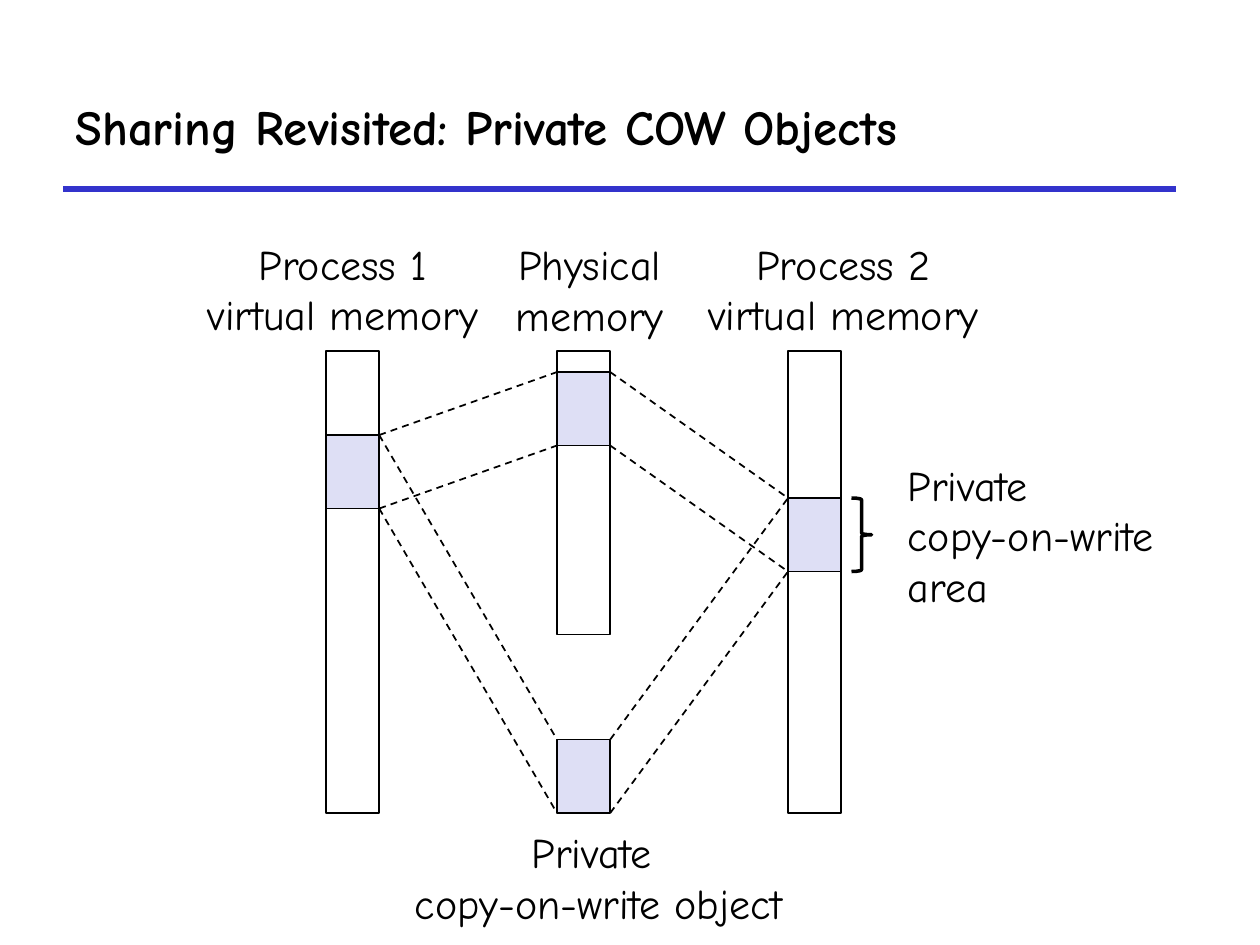
from lxml import etree
from pptx import Presentation
from pptx import util as u
from pptx.dml.color import RGBColor
from pptx.enum import dml, shapes, text
from pptx.oxml.ns import qn

INK, TINT, BLUE = "000000", "DEDFF5", "3333CC"
FONT = "Comic Neue"
LEFT, MID, RIGHT = 186.3, 318.3, 450.3  # left edges of the three columns
WIDE, AREA = 30.4, 42  # column width, height of a shared area
TOP, END = 200.6, 464.6


def color(code):
    return RGBColor.from_string(code)


def write(frame, lines, size=24, bold=False, align=text.PP_ALIGN.LEFT):
    frame.vertical_anchor = text.MSO_ANCHOR.MIDDLE
    frame.text = "\n".join(lines)
    for para in frame.paragraphs:
        para.alignment = align
        font = para.font
        font.name, font.size, font.bold = FONT, u.Pt(size), bold
        font.color.rgb = color(INK)


class Page:
    def __init__(self, slide):
        self.slide = slide
        self.items = slide.shapes

    def title(self, words, *box):
        head = self.items.title
        head.left, head.top, head.width, head.height = map(u.Pt, box)
        write(head.text_frame, [words], size=28, bold=True)

    def label(self, lines, *box, align=text.PP_ALIGN.CENTER):
        frame = self.items.add_textbox(*map(u.Pt, box)).text_frame
        frame.word_wrap = False
        frame.auto_size = text.MSO_AUTO_SIZE.SHAPE_TO_FIT_TEXT
        write(frame, lines, align=align)

    def shape(self, kind, *box, fill=None, width=1):
        item = self.items.add_shape(kind, *map(u.Pt, box))
        item.shadow.inherit = False
        if fill:
            item.fill.solid()
            item.fill.fore_color.rgb = color(fill)
        else:
            item.fill.background()
        item.line.color.rgb = color(INK)
        item.line.width = u.Pt(width)

    def bar(self, left, top, high, fill=None):
        self.shape(shapes.MSO_SHAPE.RECTANGLE, left, top, WIDE, high, fill=fill)

    def line(self, *ends, tint=INK, width=1, dash=None):
        item = self.items.add_connector(
            shapes.MSO_CONNECTOR.STRAIGHT, *map(u.Pt, ends))
        item.line.color.rgb = color(tint)
        item.line.width = u.Pt(width)
        if dash:
            item.line.dash_style = dash
        etree.SubElement(item._element.spPr, qn("a:effectLst"))

    def link(self, start, end):
        """Join the facing top and bottom corners of two areas with dashes."""
        (left, high), (right, low) = sorted([start, end])
        for drop in (0, AREA):
            self.line(left + WIDE, high + drop, right, low + drop,
                      dash=dml.MSO_LINE.DASH)


def main():
    deck = Presentation()
    deck.slide_width, deck.slide_height = u.Pt(720), u.Pt(540)
    page = Page(deck.slides.add_slide(deck.slide_layouts[5]))

    page.line(36, 108, 672, 108, tint=BLUE, width=3)
    page.title("Sharing Revisited: Private COW Objects", 36, 36, 636, 72)

    for left, bottom in ((LEFT, END), (MID, 362.6), (RIGHT, END)):
        page.bar(left, TOP, bottom - TOP)

    first, second = (LEFT, 248.6), (RIGHT, 284.6)
    frames, disk = (MID, 212.6), (MID, END - AREA)
    for left, top in (first, second, frames, disk):
        page.bar(left, top, AREA, fill=TINT)
    for near in (first, second):
        for far in (disk, frames):
            page.link(near, far)

    page.label(["Process 1", "virtual memory"], 110.9, 132.4, 170, 65)
    page.label(["Physical", "memory"], 286.9, 132.8, 100, 65)
    page.label(["Process 2", "virtual memory"], 396.9, 132.4, 170, 65)
    page.label(["Private ", "copy-on-write object"], 229.4, 468.8, 225.4, 65)
    page.label(["Private", "copy-on-write", "area"], 511.6, 258.8, 155.5, 94,
               align=text.PP_ALIGN.LEFT)
    page.shape(shapes.MSO_SHAPE.RIGHT_BRACE, 486.6, second[1], 11.5, AREA,
               width=2)
    deck.save("out.pptx")


if __name__ == "__main__":
    main()
